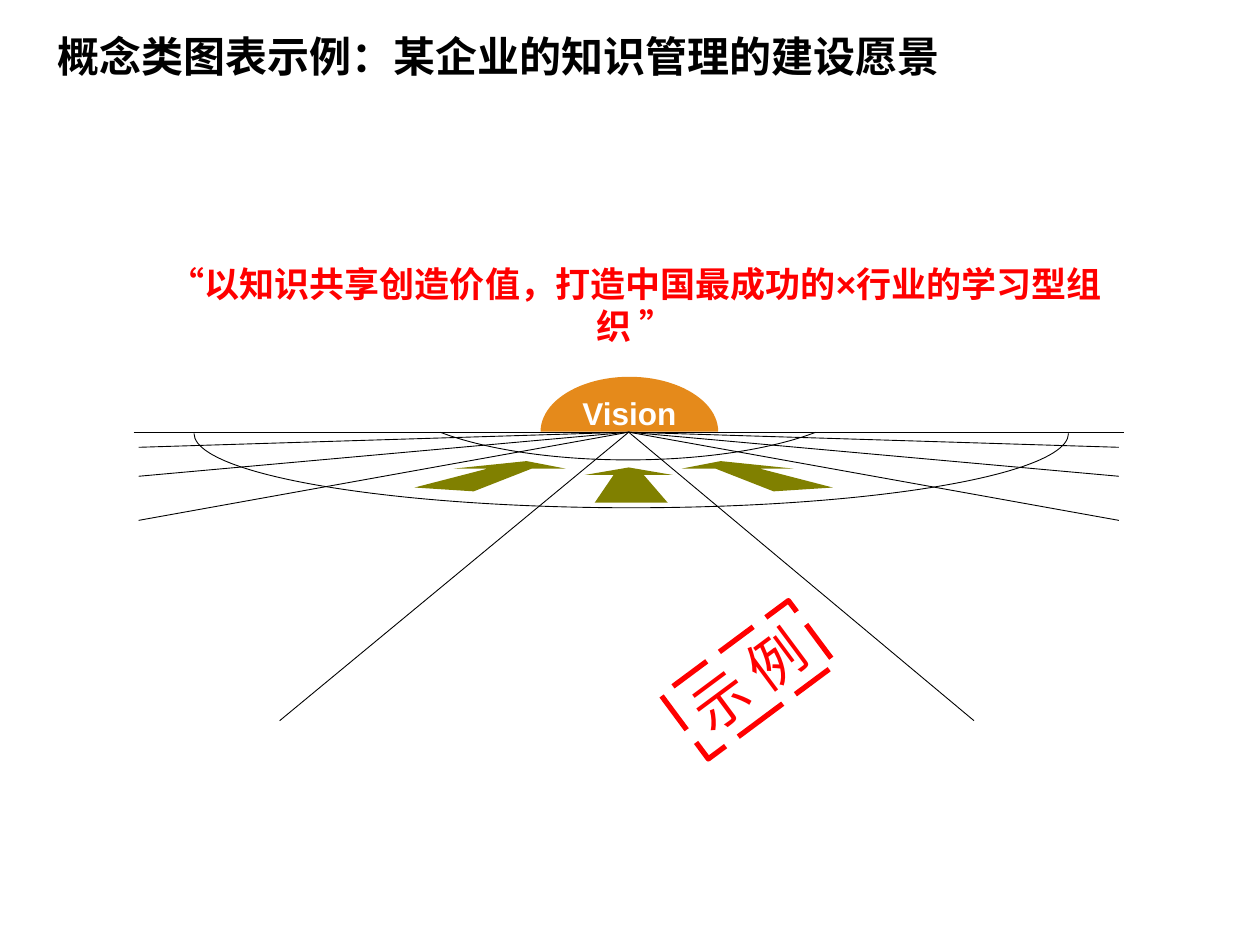
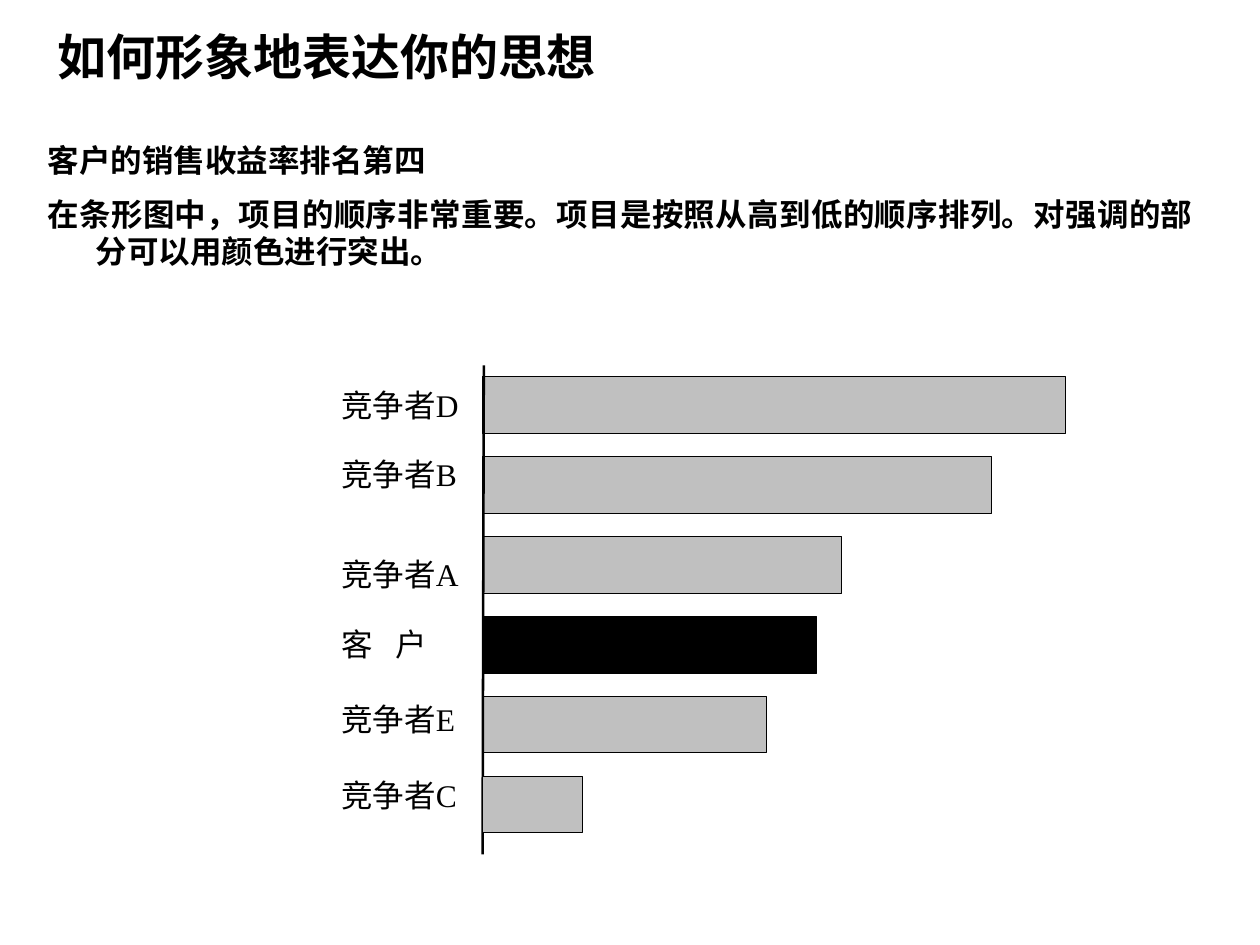
from lxml.etree import SubElement
from pptx import Presentation
from pptx.dml.color import RGBColor
from pptx.enum.dml import MSO_LINE
from pptx.enum.shapes import MSO_CONNECTOR, MSO_SHAPE
from pptx.enum.text import MSO_ANCHOR, PP_ALIGN
from pptx.oxml.ns import qn
from pptx.util import Inches, Pt

HUE = {"ink": "000000", "paper": "FFFFFF", "red": "FF0000",
       "sun": "E58A1B", "olive": "808000", "gray": "C0C0C0"}


def rgb(name):
    return RGBColor.from_string(HUE[name])


def write(frame, text, size=18, font="Arial", color="ink", bold=False,
          align=PP_ALIGN.LEFT, anchor=MSO_ANCHOR.MIDDLE, pad=(0, 0),
          wrap=True, hang=0, gap=0, track=0):
    """Fill a text frame, one paragraph per line of text."""
    frame.word_wrap = wrap
    frame.vertical_anchor = anchor
    frame.margin_left = frame.margin_right = Inches(pad[0])
    frame.margin_top = frame.margin_bottom = Inches(pad[1])
    for i, line in enumerate(text.split("\n")):
        para = frame.paragraphs[0] if i == 0 else frame.add_paragraph()
        para.alignment = align
        if hang:
            props = para._p.get_or_add_pPr()
            props.set("marL", str(Inches(hang)))
            props.set("indent", str(-Inches(hang)))
        if gap:
            para.space_after = Pt(gap)
            if i:
                para.space_before = Pt(gap)
        run = para.add_run()
        run.text = line
        run.font.size, run.font.name, run.font.bold = Pt(size), font, bold
        run.font.color.rgb = rgb(color)
        if track:
            run._r.get_or_add_rPr().set("spc", str(int(track * 100)))


def label(slide, box, text, **form):
    area = slide.shapes.add_textbox(*map(Inches, box))
    write(area.text_frame, text, **form)


def paint(shape, fill, line=None, width=0.5):
    shape.shadow.inherit = False
    shape.fill.solid()
    shape.fill.fore_color.rgb = rgb(fill)
    if line:
        shape.line.color.rgb = rgb(line)
        shape.line.width = Pt(width)
    else:
        shape.line.fill.background()


def draw(slide, kind, box, **look):
    shape = slide.shapes.add_shape(kind, *map(Inches, box))
    paint(shape, **look)
    return shape


def curve(slide, kind, box, first, last, **look):
    """Arc or chord; angles in degrees, clockwise from the right."""
    shape = draw(slide, kind, box, **look)
    for i, angle in enumerate((first, last)):
        shape.adjustments[i] = angle * 60000 / 100000
    return shape


def rule(slide, start, end, width=0.5):
    line = slide.shapes.add_connector(
        MSO_CONNECTOR.STRAIGHT, *map(Inches, (*start, *end)))
    line.line.color.rgb = rgb("ink")
    line.line.width = Pt(width)
    SubElement(line._element.spPr, qn("a:effectLst"))


def outline(slide, dots, **look):
    dots = [(Inches(x), Inches(y)) for x, y in dots]
    path = slide.shapes.build_freeform(*dots[0])
    path.add_line_segments(dots[1:])
    paint(path.convert_to_shape(), **look)


def title(slide, text, size):
    label(slide, (0.36, 0.13, 7.33, 0.63), text, size=size, bold=True,
          pad=(0.1, 0.05))


def scene(slide, x, y):
    """Rising sun and roads that meet at the point x, y."""
    # Outer ring, then the arrows that lead to the sun
    curve(slide, MSO_SHAPE.ARC, (x - 3.45, y - 0.58, 6.94, 1.18), 0, 180,
          fill="paper", line="ink")
    mid = [(-0.27, 0.56), (0.31, 0.56), (0.12, 0.34), (0.35, 0.34),
           (0, 0.28), (-0.35, 0.34), (-0.12, 0.34)]
    side = [(-1.23, 0.47), (-1.7, 0.44), (-1.12, 0.29), (-1.39, 0.29),
            (-0.81, 0.23), (-0.5, 0.29), (-0.77, 0.29)]
    flip = [(-0.08 - dx, dy) for dx, dy in side]
    for dots in (mid, side, flip):
        outline(slide, [(x + dx, y + dy) for dx, dy in dots], fill="olive")
    # Inner ring and sun
    curve(slide, MSO_SHAPE.ARC, (x - 1.92, y - 0.96, 3.83, 1.18), 14, 166,
          fill="paper", line="ink")
    sun = curve(slide, MSO_SHAPE.CHORD, (x - 0.43, y - 0.71, 0.87, 1.41),
                270, 90, fill="sun")
    sun.rotation = 270
    # Horizon and roads
    rule(slide, (x - 3.93, y), (x + 3.93, y))
    roads = [(-2.77, 2.29), (2.74, 2.29)]
    roads += [(way * 3.89, dy) for dy in (0.7, 0.35, 0.12) for way in (-1, 1)]
    for dx, dy in roads:
        rule(slide, (x, y), (x + dx, y + dy))
    label(slide, (x - 0.37, y - 0.3, 0.75, 0.3), "Vision", color="paper",
          bold=True, align=PP_ALIGN.CENTER, anchor=MSO_ANCHOR.TOP, wrap=False)


def stamp(slide, box):
    mark = draw(slide, MSO_SHAPE.RECTANGLE, box, fill="paper", line="red",
                width=3)
    mark.line.dash_style = MSO_LINE.LONG_DASH
    mark.rotation = 323.4
    write(mark.text_frame, "示 例", size=32, color="red",
          align=PP_ALIGN.CENTER, pad=(0.1, 0.05), wrap=False)


def bars(slide, x, y):
    """Ranked bars; x, y is the top of the axis."""
    # Name, bar length, then top, width and height of the name
    ranks = [("竞争者D", 4.63, 0.12, 1.61, 0.39),
             ("竞争者B", 4.04, 0.71, 1.61, 0.3),
             ("竞争者A", 2.85, 1.46, 1.61, 0.39),
             ("客 户", 2.65, 2.06, 1.19, 0.3),
             ("竞争者E", 2.25, 2.66, 1.19, 0.3),
             ("竞争者C", 0.79, 3.26, 1.19, 0.3)]
    for i, (name, size, top, wide, high) in enumerate(ranks):
        client = name == "客 户"
        # The last bar lies over the axis
        if i == len(ranks) - 1:
            rule(slide, (x + 0.01, y), (x, y + 3.88), width=1.45)
        draw(slide, MSO_SHAPE.RECTANGLE,
             (x, y + 0.09 + i * 0.634, size, 0.45),
             fill="ink" if client else "gray", line="ink")
        label(slide, (x - 1.12, y + top, wide, high), name,
              font="Times New Roman", align=PP_ALIGN.JUSTIFY,
              track=4.5 if client else 0)


def vision(slide):
    title(slide, "概念类图表示例：某企业的知识管理的建设愿景", 24)
    label(slide, (1.07, 2.08, 7.95, 0.67),
          "“以知识共享创造价值，打造中国最成功的×行业的学习型组织 ”",
          size=20, color="red", bold=True, align=PP_ALIGN.CENTER)
    scene(slide, 4.99, 3.43)
    stamp(slide, (5.31, 5.08, 1.26, 0.63))


def ranking(slide):
    title(slide, "如何形象地表达你的思想", 28)
    label(slide, (0.28, 1.07, 9.29, 5.75),
          "客户的销售收益率排名第四\n"
          "在条形图中，项目的顺序非常重要。项目是按照从高到低的顺序排列。"
          "对强调的部分可以用颜色进行突出。",
          bold=True, align=PP_ALIGN.JUSTIFY, anchor=MSO_ANCHOR.TOP,
          pad=(0.1, 0.05), hang=0.38, gap=4.5)
    bars(slide, 3.83, 2.9)


def main():
    deck = Presentation()
    deck.slide_width, deck.slide_height = Inches(10), Inches(7.5)
    for build in (vision, ranking):
        build(deck.slides.add_slide(deck.slide_layouts[6]))
    deck.save("out.pptx")


if __name__ == "__main__":
    main()
